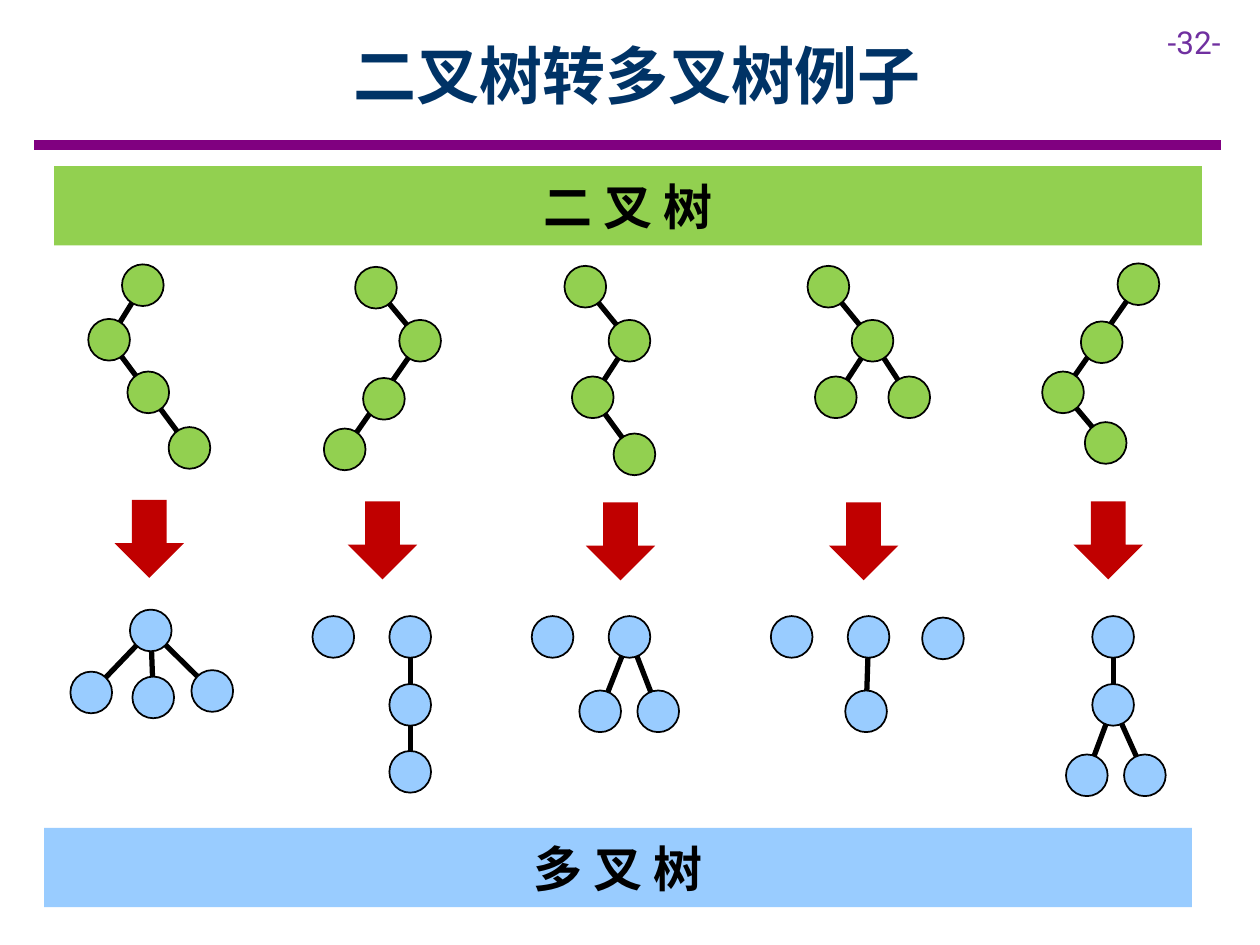
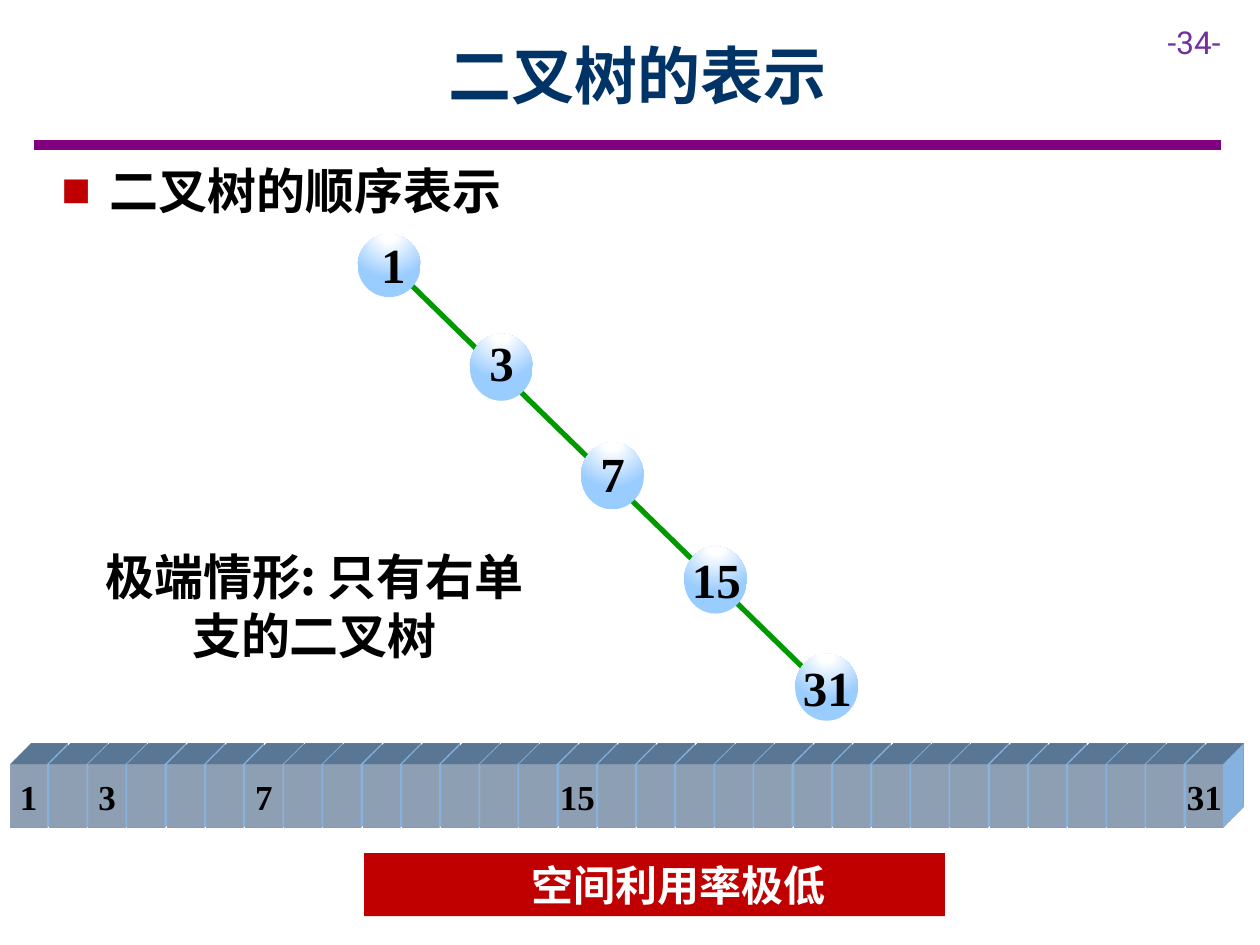
"""Build two slides on converting and storing binary trees."""
from dataclasses import dataclass

from lxml import etree
from pptx import Presentation
from pptx.dml.color import RGBColor as Rgb
from pptx.enum.shapes import MSO_CONNECTOR as Link, MSO_SHAPE as Shape
from pptx.enum.text import MSO_ANCHOR as Anchor, MSO_AUTO_SIZE as AutoSize, PP_ALIGN as Align
from pptx.oxml import parse_xml
from pptx.oxml.ns import nsdecls, qn
from pptx.util import Cm, Pt


@dataclass(frozen=True)
class Theme:
    """Colours, fonts and sizes shared by the slides."""
    navy: str = "003366"
    purple: str = "800080"
    violet: str = "7030A0"
    black: str = "000000"
    white: str = "FFFFFF"
    green: str = "92D050"
    edge_green: str = "009900"
    blue: str = "99CCFF"
    cell_blue: str = "CAE2FF"
    red: str = "C00000"
    chinese: str = "Noto Sans CJK SC"
    serif: str = "Times New Roman"
    sans: str = "Roboto"
    title_size: int = 36
    body_size: int = 28
    note_size: int = 24
    cell_size: int = 20
    page_size: int = 18
    node_width: float = 0.84


THEME = Theme()

BINARY_TREES = [
    ([(2.46, 5.33), (1.78, 6.43), (2.57, 7.49), (3.4, 8.61)], [(0, 1), (1, 3)]),
    ([(7.16, 5.38), (8.05, 6.45), (7.32, 7.62), (6.53, 8.64)], [(0, 1), (1, 3)]),
    ([(11.38, 5.36), (12.27, 6.45), (11.53, 7.59), (12.37, 8.74)], [(0, 1), (1, 2), (2, 3)]),
    ([(16.28, 5.36), (17.17, 6.45), (16.43, 7.59), (17.91, 7.59)], [(0, 1), (1, 2), (1, 3)]),
    ([(22.53, 5.31), (21.79, 6.48), (21.01, 7.49), (21.87, 8.51)], [(0, 2), (2, 3)]),
]
FORESTS = [
    ([(2.62, 12.29), (1.42, 13.54), (2.67, 13.64), (3.86, 13.51)], [(0, 1), (0, 2), (0, 3)]),
    ([(6.3, 12.42), (7.85, 12.42), (7.85, 13.79), (7.85, 15.14)], [(1, 3)]),
    ([(10.72, 12.42), (12.27, 12.42), (11.68, 13.92), (12.85, 13.92)], [(1, 2), (1, 3)]),
    ([(15.54, 12.42), (17.09, 12.42), (17.04, 13.92), (18.59, 12.45)], [(1, 2)]),
    ([(22.02, 12.42), (22.02, 13.79), (21.49, 15.21), (22.66, 15.21)], [(0, 1), (1, 2), (1, 3)]),
]
ARROWS = [(2.31, 10.08), (7.01, 10.11), (11.81, 10.13), (16.71, 10.13), (21.64, 10.11)]

BEADS = [
    (1, (7.21, 4.72, 1.27, 1.27), (7.42, 4.59, 1.02, 1.45)),
    (3, (9.47, 6.73, 1.27, 1.35), (9.6, 6.58, 1.02, 1.45)),
    (7, (11.71, 8.92, 1.27, 1.35), (11.84, 8.81, 1.02, 1.45)),
    (15, (13.79, 11.02, 1.27, 1.35), (13.69, 10.95, 1.5, 1.45)),
    (31, (16.03, 13.18, 1.27, 1.35), (15.93, 13.13, 1.5, 1.45)),
]
CELL_COUNT = 31
CELL_PITCH = 0.79

GRADIENT = """<a:gradFill {ns} rotWithShape="1"><a:gsLst>
<a:gs pos="0"><a:srgbClr val="{light}"/></a:gs><a:gs pos="18000"><a:srgbClr val="{light}"/></a:gs>
<a:gs pos="100000"><a:srgbClr val="{dark}"/></a:gs></a:gsLst>
<a:path path="circle"><a:fillToRect l="50000" t="-80000" r="50000" b="180000"/></a:path></a:gradFill>"""
SCENE = """<a:scene3d {ns}><a:camera prst="legacyObliqueTopRight"/>
<a:lightRig rig="legacyFlat3" dir="b"/></a:scene3d>"""
DEPTH = """<a:sp3d {ns} extrusionH="430200" prstMaterial="legacyMatte">
<a:bevelT w="13500" h="13500" prst="angle"/><a:bevelB w="13500" h="13500" prst="angle"/>
<a:extrusionClr><a:srgbClr val="{color}"/></a:extrusionClr></a:sp3d>"""


def drawing(template, **values):
    """Parse a drawing template with its values filled in."""
    return parse_xml(template.format(ns=nsdecls("a"), **values))


def apply(target, formats):
    """Set every attribute named in a dict of format values."""
    for name, value in formats.items():
        setattr(target, name, value)


def write_text(box, text, size, color=THEME.black, font=THEME.chinese, bold=True,
               align=Align.CENTER, space_after=0, margin=None, **frame_formats):
    """Write one formatted paragraph into a shape."""
    frame = box.text_frame
    apply(frame, {"word_wrap": True, "vertical_anchor": Anchor.TOP} | frame_formats)
    if margin is not None:
        apply(frame, {f"margin_{side}": Cm(margin) for side in ("left", "top", "right", "bottom")})
    para = frame.paragraphs[0]
    apply(para, {"alignment": align, "space_after": Pt(space_after)})
    span = para.add_run()
    span.text = text
    apply(span.font, {"size": Pt(size), "bold": bold, "name": font})
    span.font.color.rgb = Rgb.from_string(color)
    east_asian = etree.SubElement(span.font._element, qn("a:ea"))
    east_asian.set("typeface", THEME.chinese)
    return para


def add_bullet(para):
    """Give a paragraph a hanging red square bullet."""
    properties = para._p.get_or_add_pPr()
    apply_indent = {"marL": Cm(0.97), "indent": Cm(-0.97)}
    for name, value in apply_indent.items():
        properties.set(name, str(value))
    color = etree.SubElement(properties, qn("a:buClr"))
    etree.SubElement(color, qn("a:srgbClr")).set("val", THEME.red)
    etree.SubElement(properties, qn("a:buFont")).set("typeface", THEME.serif)
    etree.SubElement(properties, qn("a:buChar")).set("char", "■")


def add_label(page, bounds, text, size, **formats):
    """Add a text box and return its paragraph."""
    box = page.shapes.add_textbox(*map(Cm, bounds))
    return write_text(box, text, size, **formats)


def add_figure(page, kind, bounds, fill, line=None, line_width=1):
    """Add a flat preset shape."""
    figure = page.shapes.add_shape(kind, *map(Cm, bounds))
    figure.shadow.inherit = False
    figure.fill.solid()
    figure.fill.fore_color.rgb = Rgb.from_string(fill)
    if line:
        figure.line.color.rgb = Rgb.from_string(line)
        figure.line.width = Pt(line_width)
    else:
        figure.line.fill.background()
    return figure


def add_line(page, start, end, color, width=3):
    """Add a straight line without a shadow."""
    line = page.shapes.add_connector(Link.STRAIGHT, *map(Cm, (*start, *end)))
    line.line.color.rgb = Rgb.from_string(color)
    line.line.width = Pt(width)
    etree.SubElement(line._element.spPr, qn("a:effectLst"))


def add_tree(page, nodes, edges, fill):
    """Draw edges between node centres, then the nodes over them."""
    width = THEME.node_width
    centres = [(left + width / 2, top + width / 2) for left, top in nodes]
    for parent, child in edges:
        add_line(page, centres[parent], centres[child], THEME.black)
    for node in nodes:
        add_figure(page, Shape.OVAL, (*node, width, width), fill, THEME.black)


def add_band(page, left, top, text, fill):
    """Add a wide coloured band with a heading."""
    band = add_figure(page, Shape.RECTANGLE, (left, top, 23.14, 1.6), fill)
    write_text(band, text, THEME.body_size, margin=0.25, vertical_anchor=Anchor.MIDDLE)


def add_bead(page, number, bounds, label_bounds):
    """Add a shaded round node and its number."""
    bead = add_figure(page, Shape.OVAL, bounds, THEME.blue)
    properties = bead._element.spPr
    shade = drawing(GRADIENT, light=THEME.white, dark=THEME.blue)
    properties.replace(properties.find(qn("a:solidFill")), shade)
    add_label(page, label_bounds, str(number), THEME.body_size, font=THEME.serif,
              word_wrap=False, vertical_anchor=Anchor.MIDDLE)


def add_cell(page, index, text):
    """Add one raised cell of the storage array."""
    bounds = (0.21 + index * CELL_PITCH, 15.42, 0.74, 1.27)
    cell = add_figure(page, Shape.RECTANGLE, bounds, THEME.cell_blue, THEME.white, 1.5)
    properties = cell._element.spPr
    properties.append(drawing(SCENE))
    properties.append(drawing(DEPTH, color=THEME.blue))
    if text:
        write_text(cell, text, THEME.cell_size, font=THEME.serif, margin=0.1,
                   word_wrap=False, vertical_anchor=Anchor.MIDDLE)


def add_page(deck, title, number):
    """Add a blank slide with the shared rule, page number and title."""
    page = deck.slides.add_slide(deck.slide_layouts[6])
    add_line(page, (0.69, 2.92), (24.61, 2.92), THEME.purple, 6)
    add_label(page, (23.29, 0.33, 2.11, 1.02), f"-{number}-", THEME.page_size, color=THEME.violet,
              font=THEME.sans, bold=False, align=Align.LEFT)
    add_label(page, (2.29, 0.23, 21.11, 2.54), title, THEME.title_size, color=THEME.navy,
              vertical_anchor=Anchor.MIDDLE)
    return page


def build_conversion(deck):
    """Show five binary trees above the forests they become."""
    page = add_page(deck, "二叉树转多叉树例子", 32)
    add_band(page, 1.09, 3.35, "二 叉 树", THEME.green)
    add_band(page, 0.89, 16.69, "多 叉 树", THEME.blue)
    for tree, forest, arrow in zip(BINARY_TREES, FORESTS, ARROWS):
        add_tree(page, *tree, THEME.green)
        add_tree(page, *forest, THEME.blue)
        add_figure(page, Shape.DOWN_ARROW, (*arrow, 1.4, 1.57), THEME.red)


def build_storage(deck):
    """Show a right-only binary tree and its sparse array."""
    page = add_page(deck, "二叉树的表示", 34)
    heading = add_label(page, (0.99, 3.12, 10.69, 1.45), "二叉树的顺序表示", THEME.body_size,
                        align=Align.LEFT, space_after=6, auto_size=AutoSize.SHAPE_TO_FIT_TEXT)
    add_bullet(heading)
    add_label(page, (1.63, 10.9, 9.42, 2.64), "极端情形: 只有右单支的二叉树", THEME.body_size,
              space_after=6, auto_size=AutoSize.SHAPE_TO_FIT_TEXT)
    add_line(page, (8.13, 5.59), (16.66, 13.92), THEME.edge_green)
    for bead in BEADS:
        add_bead(page, *bead)
    stored = {number for number, *_ in BEADS}
    for index in range(CELL_COUNT):
        number = index + 1
        add_cell(page, index, str(number) if number in stored else "")
    note = add_figure(page, Shape.RECTANGLE, (7.34, 17.2, 11.71, 1.27), THEME.red)
    add_bullet(write_text(note, "空间利用率极低", THEME.note_size, color=THEME.white,
                          font=THEME.serif, space_after=6))


def main():
    """Build and save the deck."""
    deck = Presentation()
    apply(deck, {"slide_width": Cm(25.4), "slide_height": Cm(19.05)})
    build_conversion(deck)
    build_storage(deck)
    deck.save("out.pptx")


if __name__ == "__main__":
    main()
